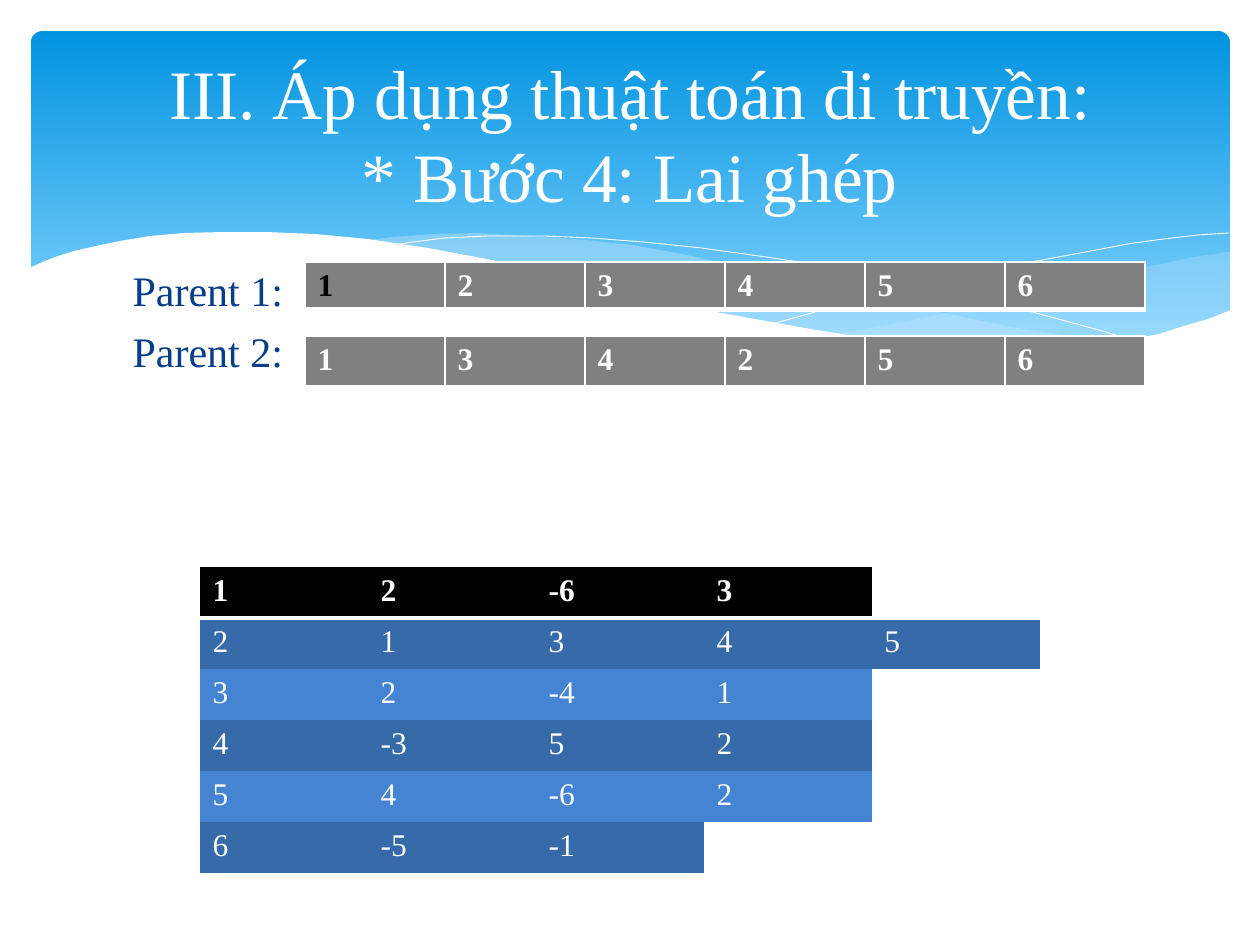
from lxml import etree
from pptx import Presentation
from pptx import util as u
from pptx.dml.color import RGBColor
from pptx.enum import dml, shapes, text
from pptx.oxml import ns

PX = 914400 / 126
FONT = "Times New Roman"
WHITE = RGBColor(0xFF, 0xFF, 0xFF)
BLACK = RGBColor(0x00, 0x00, 0x00)
NAVY = RGBColor(0x07, 0x3E, 0x87)
SKY_TOP = RGBColor(0x02, 0x93, 0xE0)
SKY_BOTTOM = RGBColor(0x83, 0xD3, 0xFE)
MIST = RGBColor(0xC6, 0xE7, 0xFC)
GREY = RGBColor(0x80, 0x80, 0x80)
DARK_BAND = RGBColor(0x37, 0x6A, 0xA9)
LIGHT_BAND = RGBColor(0x45, 0x84, 0xD3)

RIGHT_WAVE = [
    (1229, 252), (1194, 257), (1142, 268), (1085, 281), (1048, 290), (982, 305),
    (919, 319), (861, 330), (833, 334), (888, 341), (939, 347), (984, 349),
    (1026, 350), (1064, 349), (1099, 345), (1130, 340), (1160, 334), (1187, 326),
    (1213, 318), (1230, 311), (1230, 252)]
MIDDLE_WAVE = [
    (1125, 344), (1091, 339), (1017, 328), (934, 311), (842, 291), (793, 280),
    (736, 266), (682, 254), (632, 245), (586, 240), (529, 236), (479, 233),
    (433, 234), (394, 237), (360, 241), (407, 247), (456, 256), (509, 266),
    (566, 280), (619, 292), (668, 302), (736, 318), (799, 329), (857, 338),
    (910, 345), (959, 349), (1017, 350), (1068, 349), (1104, 347)]
FALLING_LINE = [
    (389, 246), (413, 242), (445, 238), (488, 236), (545, 236), (591, 238),
    (643, 242), (701, 248), (766, 257), (838, 268), (916, 285), (1002, 304),
    (1047, 316), (1095, 329), (1143, 343)]
RISING_LINE = [
    (772, 324), (823, 310), (876, 296), (942, 281), (1016, 265), (1091, 251),
    (1128, 244), (1164, 239), (1198, 235), (1229, 233)]
WHITE_WAVE = [
    (1231, 310), (1208, 319), (1184, 326), (1159, 334), (1133, 339), (1103, 344),
    (1071, 347), (1037, 349), (999, 348), (959, 346), (915, 343), (867, 338),
    (816, 330), (760, 320), (699, 309), (634, 294), (563, 277), (492, 260),
    (428, 248), (368, 239), (315, 234), (266, 232), (223, 232), (184, 233),
    (150, 236), (120, 241), (96, 246), (74, 251), (58, 256), (45, 261),
    (29, 268), (29, 415), (1231, 415)]


def px(*lengths):
    return [u.Emu(round(length * PX)) for length in lengths]


def set_borders(cell, widths):
    """Give the left, right, top and bottom edges white lines; 0 points means none."""
    properties = cell._tc.get_or_add_tcPr()
    for index, (side, width) in enumerate(zip("LRTB", widths)):
        line = etree.Element(ns.qn(f"a:ln{side}"), w=str(u.Pt(width)))
        if width:
            solid = etree.SubElement(line, ns.qn("a:solidFill"))
            etree.SubElement(solid, ns.qn("a:srgbClr"), val=str(WHITE))
        else:
            etree.SubElement(line, ns.qn("a:noFill"))
        properties.insert(index, line)


deck = Presentation()
deck.slide_width, deck.slide_height = px(1260, 945)
page = deck.slides.add_slide(deck.slide_layouts[1])
title, body = page.placeholders

# Blue banner with waves
banner = page.shapes.add_shape(shapes.MSO_SHAPE.ROUNDED_RECTANGLE, *px(31, 31, 1199, 340))
banner.adjustments[0] = 0.034
banner.shadow.inherit = False
banner.line.fill.background()
banner.fill.gradient()
banner.fill.gradient_angle = 270
for stop, color, position in zip(banner.fill.gradient_stops, (SKY_TOP, SKY_BOTTOM), (0, 0.9)):
    stop.color.rgb = color
    stop.position = position

for points, color, opacity in (
        (RIGHT_WAVE, MIST, 29), (MIDDLE_WAVE, MIST, 40), (FALLING_LINE, None, 100),
        (RISING_LINE, None, 100), (WHITE_WAVE, WHITE, 100)):
    builder = page.shapes.build_freeform(*points[0], scale=PX)
    builder.add_line_segments(points[1:], close=color is not None)
    wave = builder.convert_to_shape()
    wave.shadow.inherit = False
    if color is None:
        wave.fill.background()
        wave.line.color.rgb = WHITE
        wave.line.width = u.Pt(0.5)
        continue
    wave.line.fill.background()
    wave.fill.solid()
    wave.fill.fore_color.rgb = color
    if opacity < 100:
        tint = wave.element.spPr.find(".//" + ns.qn("a:srgbClr"))
        etree.SubElement(tint, ns.qn("a:alpha"), val=str(opacity * 1000))

# Title and parent labels, in front of the banner
for box, place, lines, size, color in (
        (body, (120, 258, 1020, 586), ["Parent 1:", "Parent 2:"], 24, NAVY),
        (title, (63, 47, 1134, 173),
         ["III. Áp dụng thuật toán di truyền:\v* Bước 4: Lai ghép"], 39.6, WHITE)):
    page.shapes.element.append(box.element)
    box.left, box.top, box.width, box.height = px(*place)
    frame = box.text_frame
    frame.word_wrap = True
    frame.auto_size = text.MSO_AUTO_SIZE.NONE
    for number, line in enumerate(lines):
        para = frame.add_paragraph() if number else frame.paragraphs[0]
        para.text = line
        para.space_before = u.Pt(6 if number else 0)
        if box is body:
            layout = para._p.get_or_add_pPr()
            layout.set("marL", "0")
            layout.set("indent", "0")
            etree.SubElement(layout, ns.qn("a:buNone"))
        para.font.name = FONT
        para.font.size = u.Pt(size)
        para.font.color.rgb = color
title.text_frame.vertical_anchor = text.MSO_ANCHOR.MIDDLE
title.text_frame.paragraphs[0].alignment = text.PP_ALIGN.CENTER

# Parent tours and the adjacency list
adjacency = [["1", "2", "-6", "3", ""], ["2", "1", "3", "4", "5"], ["3", "2", "-4", "1", ""],
             ["4", "-3", "5", "2", ""], ["5", "4", "-6", "2", ""], ["6", "-5", "-1", "", ""]]
for rows, left, top, column_width, row_height, fills, borders in (
        ([list("123456")], 305, 262, 140, 47, [GREY], (1, 1, 1, 3)),
        ([list("134256")], 305, 336, 140, 51, [GREY], (1, 1, 1, 3)),
        (adjacency, 200, 567, 168, 51, [BLACK] + [DARK_BAND, LIGHT_BAND] * 3, (0, 0, 0, 2))):
    columns = len(rows[0])
    table = page.shapes.add_table(len(rows), columns, *px(
        left, top, column_width * columns, row_height * len(rows))).table
    for r, values in enumerate(rows):
        for c, value in enumerate(values):
            cell = table.cell(r, c)
            cell.fill.solid()
            cell.fill.fore_color.rgb = fills[r] if value else WHITE
            below_header = (0, 0, 2 if r == 1 else 0, 0)
            set_borders(cell, below_header if r else borders)
            cell.text = value
            font = cell.text_frame.paragraphs[0].font
            font.name = FONT
            font.size = u.Pt(18)
            font.bold = r == 0
            first_black = top == 262 and c == 0
            font.color.rgb = BLACK if first_black else WHITE

deck.save("out.pptx")
